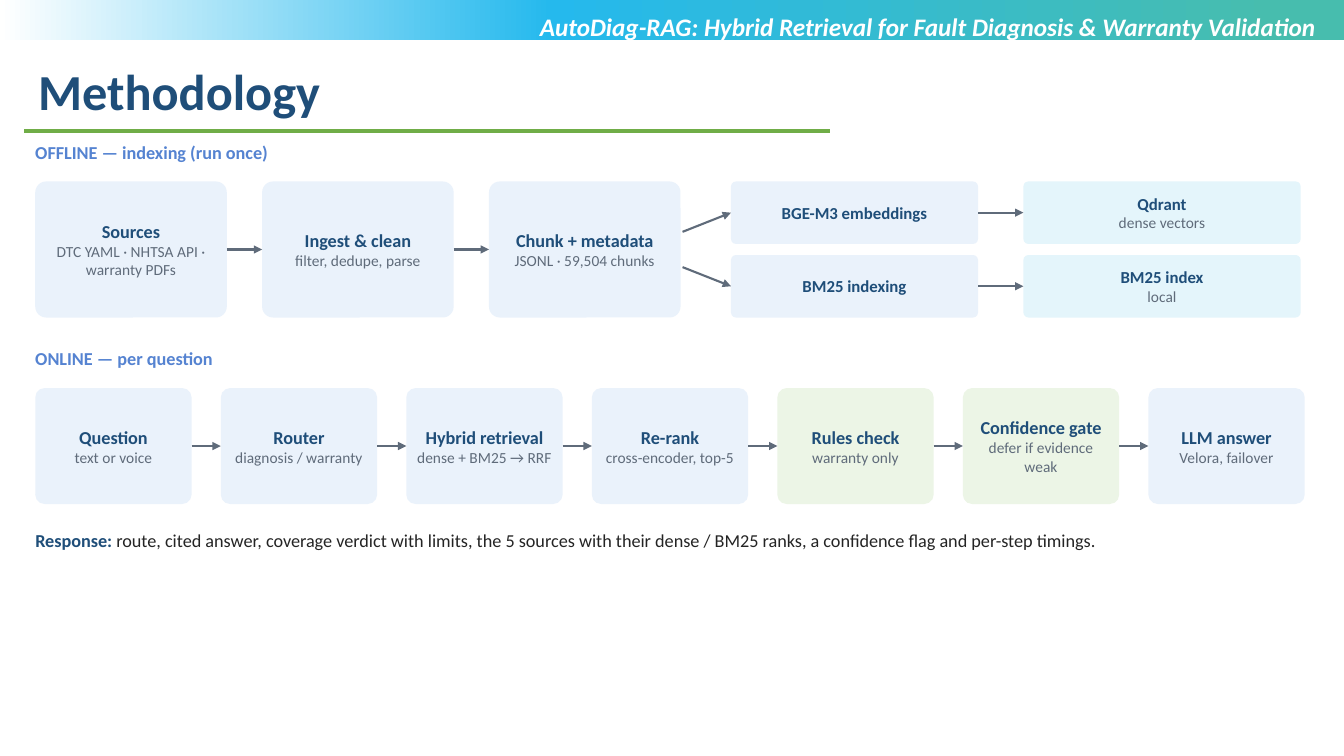
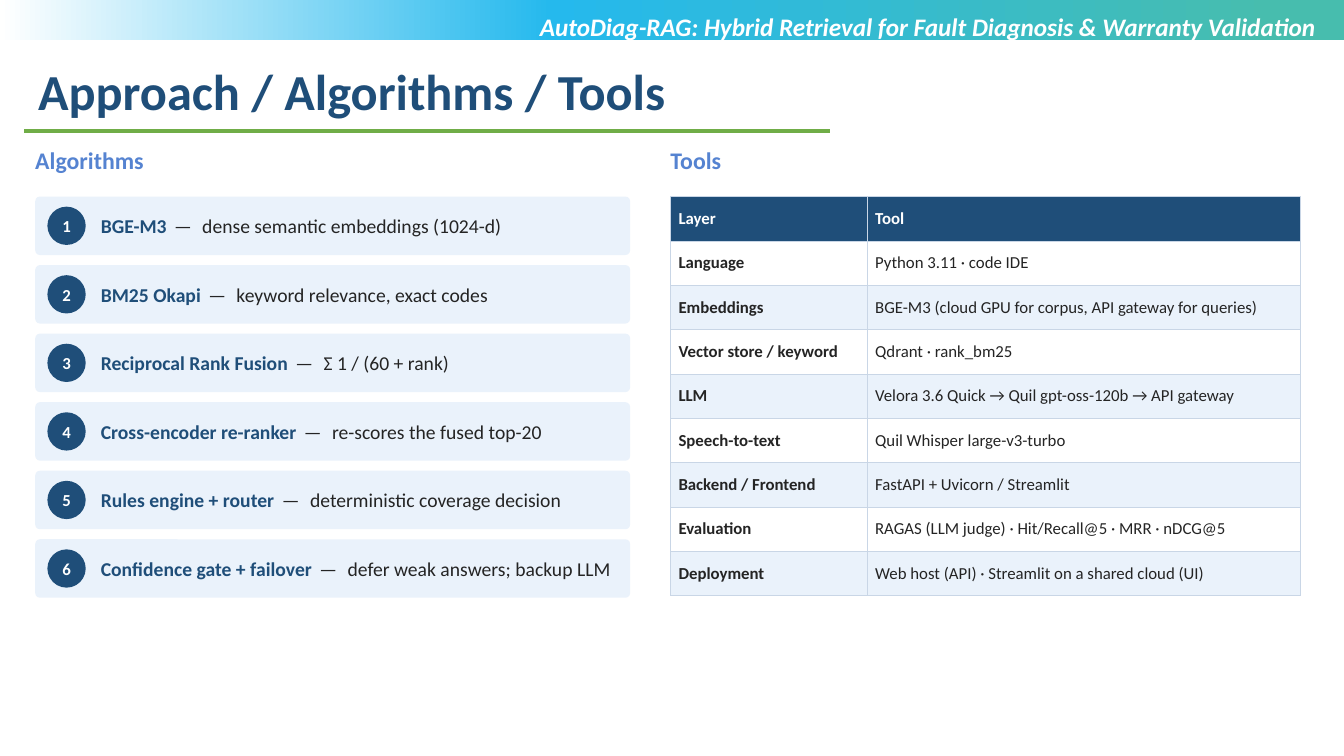
from copy import deepcopy
from lxml.etree import SubElement as Sub
from pptx import Presentation
from pptx.dml.color import RGBColor
from pptx.enum.shapes import MSO_CONNECTOR as Link, MSO_SHAPE as Kind
from pptx.enum.text import MSO_ANCHOR as Anchor, PP_ALIGN as Align
from pptx.oxml.ns import qn
from pptx.util import Inches, Pt

hue = RGBColor.from_string
NAVY, BLUE, GREEN, GREY = "1F4E79", "5583D1", "70AD47", "5F6B7A"
INK, WHITE, EDGE = "242424", "FFFFFF", "C9D6E6"
PALE, AQUA, MINT = "EAF2FB", "E4F5FB", "ECF5E6"
LEFT = 0.35


def write(frame, *paras, align=Align.LEFT, anchor=Anchor.TOP,
          inset=(0, 0), italic=False):
    """Each paragraph is a list of runs: text, size, colour, bold, spacing."""
    frame.word_wrap = True
    frame.vertical_anchor = anchor
    frame.margin_left = frame.margin_right = Inches(inset[0])
    frame.margin_top = frame.margin_bottom = Inches(inset[1])
    for i, runs in enumerate(paras):
        para = frame.add_paragraph() if i else frame.paragraphs[0]
        para.alignment = align
        for text, size, color, bold, *gap in runs:
            run = para.add_run()
            run.text = text
            font = run.font
            font.name, font.size = "Calibri", Pt(size)
            font.bold, font.italic = bold, italic
            font.color.rgb = hue(color)
            if gap:
                run._r.get_or_add_rPr().set("spc", str(gap[0]))


def put(page, kind, x, y, w, h, fill=None):
    """Add a filled shape, or a text box if kind is None."""
    at = Inches(x), Inches(y), Inches(w), Inches(h)
    if kind is None:
        return page.shapes.add_textbox(*at)
    shape = page.shapes.add_shape(kind, *at)
    shape.shadow.inherit = False
    shape.line.fill.background()
    if fill:
        shape.fill.solid()
        shape.fill.fore_color.rgb = hue(fill)
    if kind == Kind.ROUNDED_RECTANGLE:
        shape.adjustments[0] = 0.08
    return shape


deck = Presentation()
deck.slide_width, deck.slide_height = Inches(13.33), Inches(7.5)
blank = deck.slide_layouts[6]

# Title, rule and running head of every slide
pages = []
for title in ("Methodology", "Approach / Algorithms / Tools"):
    page = deck.slides.add_slide(blank)
    pages.append(page)
    write(put(page, None, 0.28, 0.55, 11.62, 0.71).text_frame,
          [(title, 36, NAVY, True)], inset=(0.1, 0.05))
    rule = page.shapes.add_connector(
        Link.STRAIGHT, Inches(0.24), Inches(1.3), Inches(8.23), Inches(1.3))
    rule.line.color.rgb = hue(GREEN)
    rule.line.width = Pt(2.25)
    Sub(rule._element.spPr, qn("a:effectLst"))
    write(put(page, None, 3.1, 0.06, 10.05, 0.71).text_frame,
          [("AutoDiag-RAG: Hybrid Retrieval for Fault Diagnosis & "
            "Warranty Validation", 18, WHITE, True)],
          align=Align.RIGHT, inset=(0.1, 0.05), italic=True)
flow, tools = pages

# Gradient band, kept on the shared layout
band = put(flow, Kind.RECTANGLE, 0, 0, 13.33, 0.4)
band.fill.gradient()
band.fill.gradient_angle = 180
stops = band._element.spPr.find(".//" + qn("a:gsLst"))
stops.append(deepcopy(stops[0]))
for stop, (spot, color) in zip(band.fill.gradient_stops, (
        (0.05, "47BDAE"), (0.59, "25B9ED"), (1, WHITE))):
    stop.position = spot
    stop.color.rgb = hue(color)
blank.shapes._spTree.append(band._element)

# Section heads
for page, x, y, w, h, size, text in (
        (flow, LEFT, 1.4, 6, 0.35, 13, "OFFLINE — indexing (run once)"),
        (flow, LEFT, 3.45, 6, 0.35, 13, "ONLINE — per question"),
        (tools, LEFT, 1.45, 5.9, 0.4, 17, "Algorithms"),
        (tools, 6.65, 1.45, 6.2, 0.4, 17, "Tools")):
    write(put(page, None, x, y, w, h).text_frame, [(text, size, BLUE, True)])

# Steps: x, y, width, height, fill, head size, head, note
TOP, LOW = 1.8, 2.53
steps = [
    (LEFT, TOP, 1.9, 1.35, PALE, 13, "Sources",
     "DTC YAML · NHTSA API · warranty PDFs"),
    (2.6, TOP, 1.9, 1.35, PALE, 13, "Ingest & clean",
     "filter, dedupe, parse"),
    (4.85, TOP, 1.9, 1.35, PALE, 13, "Chunk + metadata",
     "JSONL · 59,504 chunks"),
    (7.25, TOP, 2.45, 0.62, PALE, 12, "BGE-M3 embeddings", ""),
    (7.25, LOW, 2.45, 0.62, PALE, 12, "BM25 indexing", ""),
    (10.15, TOP, 2.75, 0.62, AQUA, 12, "Qdrant", "dense vectors"),
    (10.15, LOW, 2.75, 0.62, AQUA, 12, "BM25 index", "local"),
]
online = (
    ("Question", "text or voice", PALE),
    ("Router", "diagnosis / warranty", PALE),
    ("Hybrid retrieval", "dense + BM25 → RRF", PALE),
    ("Re-rank", "cross-encoder, top-5", PALE),
    ("Rules check", "warranty only", MINT),
    ("Confidence gate", "defer if evidence weak", MINT),
    ("LLM answer", "Velora, failover", PALE),
)
for i, (head, note, fill) in enumerate(online):
    steps.append((LEFT + 1.84 * i, 3.85, 1.55, 1.15, fill, 13, head, note))

boxes = {}
for x, y, w, h, fill, size, head, note in steps:
    box = put(flow, Kind.ROUNDED_RECTANGLE, x, y, w, h, fill)
    paras = [[(head, size, NAVY, True)]]
    if note:
        paras.append([(note, 11, GREY, False)])
    write(box.text_frame, *paras, align=Align.CENTER,
          anchor=Anchor.MIDDLE, inset=(0.06, 0.03))
    boxes[head] = box

# Arrows: from, to, and the start height where the path forks
links = [
    ("Sources", "Ingest & clean", None),
    ("Ingest & clean", "Chunk + metadata", None),
    ("Chunk + metadata", "BGE-M3 embeddings", 2.3),
    ("Chunk + metadata", "BM25 indexing", 2.65),
    ("BGE-M3 embeddings", "Qdrant", None),
    ("BM25 indexing", "BM25 index", None),
]
names = [row[0] for row in online]
links += [(a, b, None) for a, b in zip(names, names[1:])]
for start, end, fork in links:
    arrow = flow.shapes.add_connector(
        Link.STRAIGHT, Inches(6.77), Inches(fork or 0), 0, 0)
    if fork is None:
        arrow.begin_connect(boxes[start], 3)
    arrow.end_connect(boxes[end], 1)
    arrow.line.color.rgb = hue(GREY)
    arrow.line.width = Pt(1.5)
    Sub(arrow.line._get_or_add_ln(), qn("a:tailEnd"), type="triangle")
    Sub(arrow._element.spPr, qn("a:effectLst"))

# Response line
write(put(flow, None, LEFT, 5.25, 12.55, 0.8).text_frame,
      [("Response: ", 13, NAVY, True),
       ("route, cited answer, coverage verdict with limits, the 5 sources "
        "with their dense / BM25 ranks, a confidence flag and per-step "
        "timings.", 13, INK, False)])

# Numbered algorithms
for i, (name, note) in enumerate((
        ("BGE-M3", "dense semantic embeddings (1024-d)"),
        ("BM25 Okapi", "keyword relevance, exact codes"),
        ("Reciprocal Rank Fusion", "Σ 1 / (60 + rank)"),
        ("Cross-encoder re-ranker", "re-scores the fused top-20"),
        ("Rules engine + router", "deterministic coverage decision"),
        ("Confidence gate + failover", "defer weak answers; backup LLM"))):
    y = 1.95 + 0.68 * i
    put(tools, Kind.ROUNDED_RECTANGLE, LEFT, y, 5.9, 0.58, PALE)
    dot = put(tools, Kind.OVAL, 0.47, y + 0.1, 0.38, 0.38, NAVY)
    write(dot.text_frame, [(str(i + 1), 12, WHITE, True)],
          align=Align.CENTER, anchor=Anchor.MIDDLE)
    write(put(tools, None, 1, y + 0.02, 5.15, 0.54).text_frame,
          [(name, 14, NAVY, True), (" — ", 14, INK, False, 210),
           (note, 14, INK, False)], anchor=Anchor.MIDDLE)

# Tool table
rows = (
    ("Layer", "Tool"),
    ("Language", "Python 3.11 · code IDE"),
    ("Embeddings", "BGE-M3 (cloud GPU for corpus, API gateway for queries)"),
    ("Vector store / keyword", "Qdrant · rank_bm25"),
    ("LLM", "Velora 3.6 Quick → Quil gpt-oss-120b → API gateway"),
    ("Speech-to-text", "Quil Whisper large-v3-turbo"),
    ("Backend / Frontend", "FastAPI + Uvicorn / Streamlit"),
    ("Evaluation", "RAGAS (LLM judge) · Hit/Recall@5 · MRR · nDCG@5"),
    ("Deployment", "Web host (API) · Streamlit on a shared cloud (UI)"),
)
grid = tools.shapes.add_table(len(rows), 2, Inches(6.65), Inches(1.95),
                              Inches(6.25), Inches(0.44 * len(rows))).table
grid.horz_banding = False
grid.columns[0].width, grid.columns[1].width = Inches(1.95), Inches(4.3)
for r, row in enumerate(rows):
    grid.rows[r].height = Inches(0.44)
    for c, text in enumerate(row):
        cell = grid.cell(r, c)
        write(cell.text_frame,
              [(text, 12, INK if r else WHITE, r == 0 or c == 0)])
        cell.vertical_anchor = Anchor.MIDDLE
        cell.margin_left = cell.margin_right = Inches(0.08)
        cell.margin_top = cell.margin_bottom = Inches(0.03)
        for side in ("lnL", "lnR", "lnT", "lnB"):
            line = Sub(cell._tc.get_or_add_tcPr(), qn("a:" + side),
                       w=str(Pt(0.5)))
            Sub(Sub(line, qn("a:solidFill")), qn("a:srgbClr"), val=EDGE)
        cell.fill.solid()
        cell.fill.fore_color.rgb = hue(
            NAVY if r == 0 else WHITE if r % 2 else PALE)

deck.save("out.pptx")
